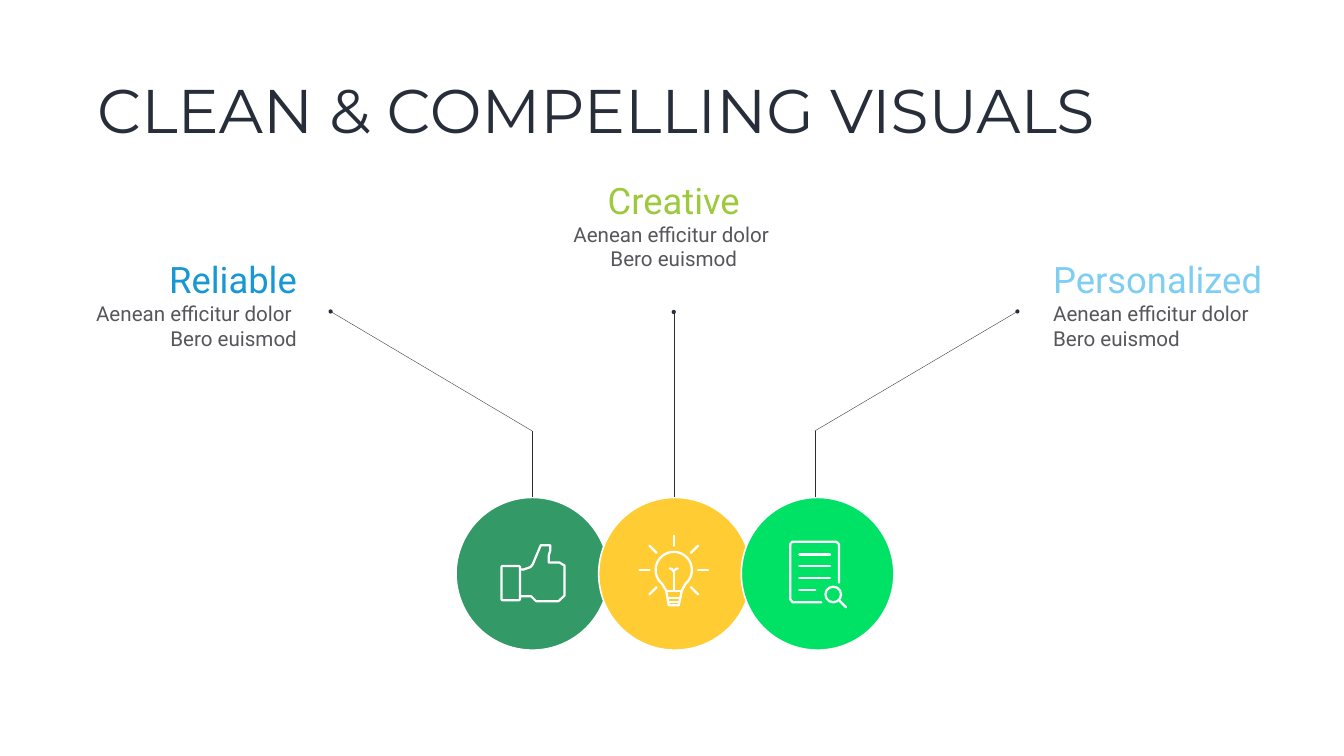
from math import cos, radians, sin
from pptx import Presentation
from pptx.dml.color import RGBColor
from pptx.enum.shapes import MSO_CONNECTOR, MSO_SHAPE
from pptx.enum.text import MSO_ANCHOR, MSO_AUTO_SIZE, PP_ALIGN
from pptx.oxml.ns import qn
from pptx.util import Inches, Pt
from lxml.etree import SubElement

HUES = {
    "white": "FFFFFF", "ink": "272E3A", "grey": "57565A",
    "blue": "1798D2", "sky": "7ECEF2", "lime": "9DC93C",
    "green": "339966", "gold": "FFCC33", "mint": "00E266",
}
STROKE = 3.2


def hue(name):
    """Return the named colour."""
    return RGBColor.from_string(HUES[name])


def put(obj, vals):
    """Set each attribute of obj from a dict."""
    for key, val in vals.items():
        setattr(obj, key, val)


def trace(shape, name, width):
    """Style an outline and return its line element."""
    shape.line.color.rgb = hue(name)
    shape.line.width = Pt(width)
    return shape.element.spPr.find(qn("a:ln"))


def wire(slide, start, end, name="ink", width=0.5, dot=False):
    """Draw a straight line, with an optional dot at its start."""
    ends = [Inches(n) for n in (*start, *end)]
    line = slide.shapes.add_connector(MSO_CONNECTOR.STRAIGHT, *ends)
    ln = trace(line, name, width)
    if name == "white":
        ln.set("cap", "rnd")
    if dot:
        SubElement(ln, qn("a:headEnd"), type="oval")
    SubElement(line.element.spPr, qn("a:effectLst"))


def form(slide, kind, box, fill=None, width=STROKE):
    """Draw a white-edged preset shape, filled or hollow."""
    shape = slide.shapes.add_shape(kind, *[Inches(n) for n in box])
    shape.shadow.inherit = False
    if fill:
        shape.fill.solid()
        shape.fill.fore_color.rgb = hue(fill)
    else:
        shape.fill.background()
    trace(shape, "white", width)
    return shape


def sketch(slide, x, y, pts, close=False):
    """Draw a hollow white outline through points relative to x, y."""
    pts = [(Inches(x + a), Inches(y + b)) for a, b in pts]
    pen = slide.shapes.build_freeform(*pts[0], scale=1.0)
    pen.add_line_segments(pts[1:], close=close)
    shape = pen.convert_to_shape()
    shape.shadow.inherit = False
    shape.fill.background()
    ln = trace(shape, "white", STROKE)
    ln.set("cap", "rnd")
    SubElement(ln, qn("a:round"))


def write(slide, box, rows, align=PP_ALIGN.LEFT, anchor=MSO_ANCHOR.TOP,
          fit=MSO_AUTO_SIZE.SHAPE_TO_FIT_TEXT, space=1.0):
    """Place a text box holding rows of text, size, font and colour."""
    frame = slide.shapes.add_textbox(*[Inches(n) for n in box]).text_frame
    put(frame, {"word_wrap": True, "auto_size": fit, "vertical_anchor": anchor})
    for i, (text, size, face, name) in enumerate(rows):
        para = frame.add_paragraph() if i else frame.paragraphs[0]
        put(para, {"alignment": align, "line_spacing": space})
        run = para.add_run()
        run.text = text
        put(run.font, {"size": Pt(size), "name": face})
        run.font.color.rgb = hue(name)


def label(slide, x, y, head, name, body, align):
    """Place a coloured heading over two grey lines."""
    rows = [(head, 52, "Roboto", name)]
    rows += [(text, 29.4, "Roboto", "grey") for text in body]
    write(slide, (x, y, 5.22, 1.97), rows, align)


def thumb(slide, x, y):
    """Draw a raised thumb inside the disc at x, y."""
    cuff = form(slide, MSO_SHAPE.ROUNDED_RECTANGLE, (x + 0.9, y + 1.36, 0.37, 0.68))
    cuff.adjustments[0] = 0.08
    sketch(slide, x, y, [
        (1.27, 1.43), (1.34, 1.43), (1.48, 1.38), (1.52, 1.33), (1.68, 0.95),
        (1.87, 0.95), (1.87, 1.05), (1.84, 1.15), (1.84, 1.29), (2.05, 1.29),
        (2.15, 1.35), (2.15, 1.95), (2.03, 2.06), (1.59, 2.06), (1.49, 1.96),
        (1.27, 1.96)])


def bulb(slide, x, y):
    """Draw a shining bulb inside the disc at x, y."""
    def polar(turn, far):
        """Return a point around the middle of the glass."""
        return 1.49 + far * cos(radians(turn)), 1.44 + far * sin(radians(turn))

    glass = [polar(turn, 0.36) for turn in range(130, 411, 10)]
    base = [(1.65, 1.85), (1.59, 2.14), (1.39, 2.14), (1.34, 1.85)]
    sketch(slide, x, y, glass + base, True)
    sketch(slide, x, y, [(1.41, 1.41), (1.45, 1.42), (1.49, 1.47),
                         (1.53, 1.42), (1.57, 1.41)])
    bars = [((1.34, 1.85), (1.65, 1.85)), ((1.38, 2), (1.6, 2)),
            ((1.4, 2.07), (1.58, 2.07)), ((1.49, 1.47), (1.49, 1.83))]
    rays = [(polar(turn, 0.48), polar(turn, 0.68)) for turn in range(135, 406, 45)]
    for (a, b), (c, d) in bars + rays:
        wire(slide, (x + a, y + b), (x + c, y + d), "white", STROKE)


def page(slide, x, y):
    """Draw a page with a lens inside the disc at x, y."""
    sketch(slide, x, y, [
        (1.59, 2.08), (1.02, 2.08), (0.97, 2.02), (0.97, 0.93), (1.01, 0.88),
        (1.89, 0.88), (1.94, 0.93), (1.94, 1.69)])
    for i, end in enumerate((1.76, 1.76, 1.76, 1.47)):
        row = y + 1.13 + 0.235 * i
        wire(slide, (x + 1.15, row), (x + end, row), "white", STROKE)
    form(slide, MSO_SHAPE.OVAL, (x + 1.67, y + 1.77, 0.31, 0.31))
    wire(slide, (x + 1.95, y + 2.05), (x + 2.08, y + 2.18), "white", STROKE)


def discs(slide, x, y):
    """Draw the row of overlapping discs with their icons."""
    parts = (("green", thumb), ("gold", bulb), ("mint", page))
    for i, (name, icon) in enumerate(parts):
        left = x + 2.83 * i
        form(slide, MSO_SHAPE.OVAL, (left, y, 3.03, 3.03), name, 2.25)
        icon(slide, left, y)


def leads(slide, y):
    """Draw the lines that rise from the discs at y."""
    wire(slide, (13.37, 6.19), (13.37, y), dot=True)
    for x, far in ((10.56, 6.56), (16.17, 20.19)):
        wire(slide, (x, 8.55), (x, y))
        wire(slide, (far, 6.18), (x, 8.55), dot=True)


def main():
    """Build and save the slide."""
    deck = Presentation()
    put(deck, {"slide_width": Inches(26.67), "slide_height": Inches(15)})
    slide = deck.slides.add_slide(deck.slide_layouts[6])
    write(slide, (1.83, 0.8, 23, 2.9),
          [("CLEAN & COMPELLING VISUALS", 88, "Montserrat", "ink")],
          anchor=MSO_ANCHOR.MIDDLE, fit=MSO_AUTO_SIZE.NONE, space=0.9)
    first, last = "Aenean efficitur dolor", "Bero euismod"
    label(slide, 0.77, 5.06, "Reliable", "blue", (first + " ", last), PP_ALIGN.RIGHT)
    label(slide, 20.8, 5.06, "Personalized", "sky", (first, last), PP_ALIGN.LEFT)
    label(slide, 10.76, 3.48, "Creative", "lime", (first + " ", last), PP_ALIGN.CENTER)
    discs(slide, 9.05, 9.87)
    leads(slide, 9.87)
    deck.save("out.pptx")


if __name__ == "__main__":
    main()
